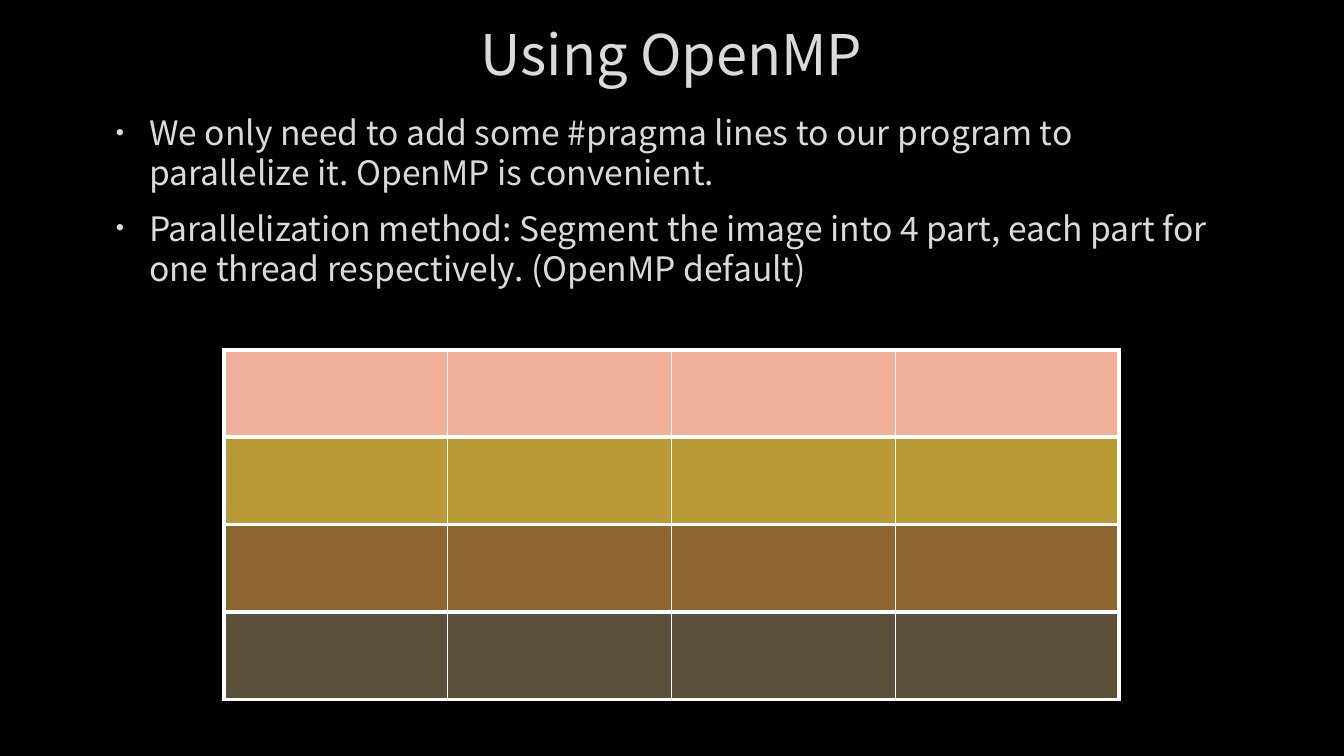
from dataclasses import dataclass

import pptx
import pptx.dml.color
import pptx.enum.text
import pptx.oxml
import pptx.oxml.ns
import pptx.util
from pptx.dml.color import RGBColor
from pptx.util import Inches

FONT = "Noto Sans CJK SC"
BULLET_FONT = "Arial"
BLACK = RGBColor(0x00, 0x00, 0x00)
WHITE = RGBColor(0xFF, 0xFF, 0xFF)
LIGHT_GREY = RGBColor(0xDA, 0xDA, 0xDA)
PINK = RGBColor(0xF0, 0xAF, 0x98)
GOLD = RGBColor(0xB7, 0x99, 0x35)
BROWN = RGBColor(0x8C, 0x65, 0x30)
OLIVE = RGBColor(0x5B, 0x50, 0x39)

LEFT, WIDTH, TITLE_HEIGHT = Inches(1), Inches(11.32), Inches(1.06)
COLUMNS = 4
THIN, THICK = 1, 3


@dataclass
class Segment:
    """One horizontal part of the image, handled by one thread."""
    thread: int
    color: RGBColor


SEGMENTS = [Segment(i, color) for i, color in enumerate([PINK, GOLD, BROWN, OLIVE])]
POINTS = [
    "We only need to add some #pragma lines to our program to parallelize it. "
    "OpenMP is convenient.",
    "Parallelization method: Segment the image into 4 part, each part for one thread "
    "respectively. (OpenMP default)",
]


def add_span(para, text: str, size: float) -> None:
    span = para.add_run()
    span.text = text
    span.font.name = FONT
    span.font.size = pptx.util.Pt(size)
    span.font.color.rgb = LIGHT_GREY


def add_xml(parent, tag: str, attributes: str, content: str = "") -> None:
    namespace = pptx.oxml.ns.nsdecls("a")
    parent.append(pptx.oxml.parse_xml(
        f"<a:{tag} {namespace} {attributes}>{content}</a:{tag}>"))


def add_point(para, text: str) -> None:
    para.space_before = pptx.util.Pt(4.8)
    para.space_after = pptx.util.Pt(6)
    properties = para._p.get_or_add_pPr()
    properties.set("marL", str(Inches(0.38)))
    properties.set("indent", str(Inches(-0.33)))
    add_xml(properties, "buClr", "", f'<a:srgbClr val="{LIGHT_GREY}"/>')
    add_xml(properties, "buSzPct", 'val="70000"')
    add_xml(properties, "buFont", f'typeface="{BULLET_FONT}"')
    add_xml(properties, "buChar", 'char="•"')
    add_span(para, text, 24)


def format_cell(cell, column: int, color: RGBColor) -> None:
    widths = {
        "lnL": THICK if column == 0 else THIN,
        "lnR": THICK if column == COLUMNS - 1 else THIN,
        "lnT": THICK,
        "lnB": THICK,
    }
    properties = cell._tc.get_or_add_tcPr()
    for side, points in widths.items():
        add_xml(properties, side, f'w="{pptx.util.Pt(points)}"',
                f'<a:solidFill><a:srgbClr val="{WHITE}"/></a:solidFill>')
    cell.fill.solid()
    cell.fill.fore_color.rgb = color


# Page
deck = pptx.Presentation()
deck.slide_width, deck.slide_height = Inches(13.33), Inches(7.5)
page = deck.slides.add_slide(deck.slide_layouts.get_by_name("Title Only"))
page.background.fill.solid()
page.background.fill.fore_color.rgb = BLACK

# Title
title = page.shapes.title
title.left, title.top, title.width, title.height = LEFT, Inches(0), WIDTH, TITLE_HEIGHT
title.text_frame.auto_size = pptx.enum.text.MSO_AUTO_SIZE.NONE
title.text_frame.vertical_anchor = pptx.enum.text.MSO_ANCHOR.MIDDLE
title_para = title.text_frame.paragraphs[0]
title_para.alignment = pptx.enum.text.PP_ALIGN.CENTER
add_span(title_para, "Using OpenMP", 40)

# Bullet points
box = page.shapes.add_textbox(LEFT, TITLE_HEIGHT, WIDTH, Inches(4.44))
box.text_frame.word_wrap = True
for number, point in enumerate(POINTS):
    frame = box.text_frame
    add_point(frame.add_paragraph() if number else frame.paragraphs[0], point)

# Image segments, one row per thread
grid = page.shapes.add_table(len(SEGMENTS), COLUMNS, Inches(2.22), Inches(3.47),
                             Inches(8.88), Inches(3.47)).table
for segment in SEGMENTS:
    for column in range(COLUMNS):
        format_cell(grid.cell(segment.thread, column), column, segment.color)

deck.save("out.pptx")
